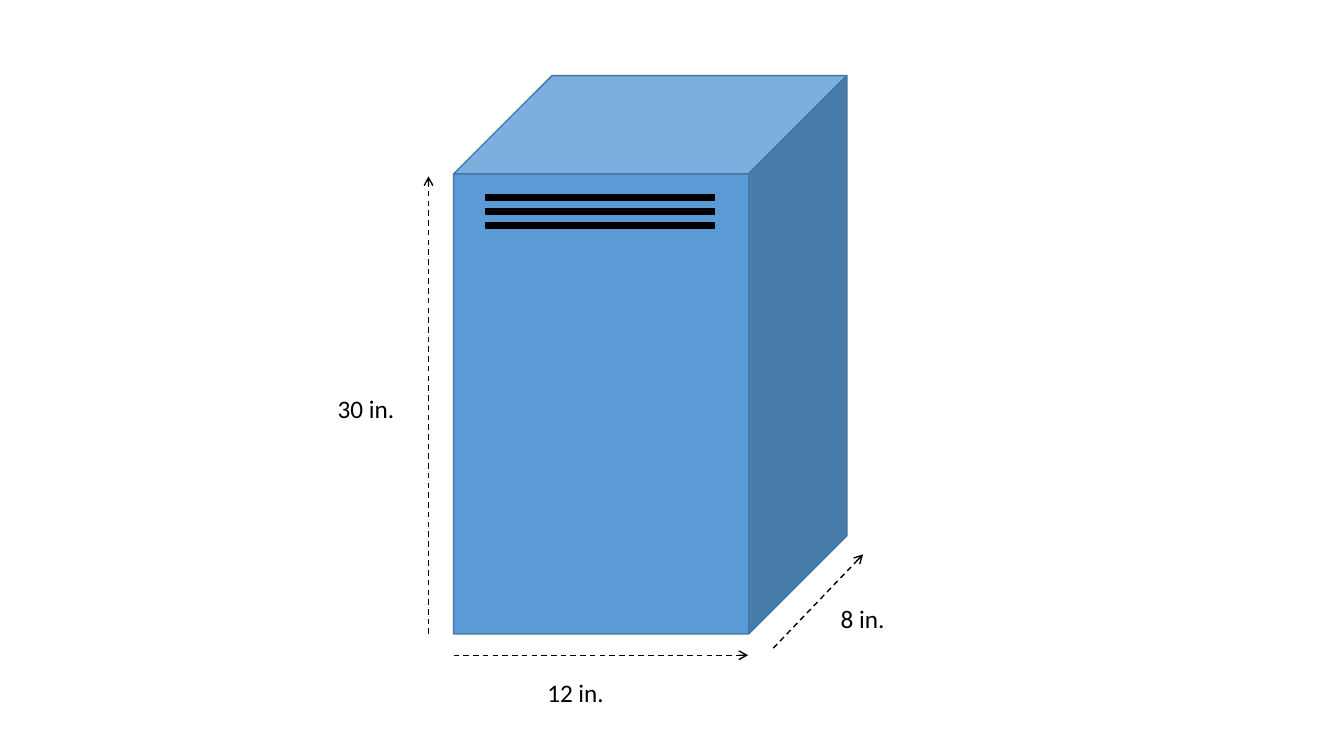
from dataclasses import dataclass

import pptx
import pptx.dml.color
import pptx.enum.dml
import pptx.enum.shapes
import pptx.enum.text
import pptx.oxml.ns
import pptx.util
from lxml import etree

SCALE = 9144  # EMU per px, 100 px to the inch
BLACK = "000000"
SHAPE = pptx.enum.shapes.MSO_SHAPE


@dataclass
class Block:
    kind: int
    left: int
    top: int
    width: int
    height: int
    fill: str
    line: str


@dataclass
class Arrow:
    x1: int
    y1: int
    x2: int
    y2: int


@dataclass
class Label:
    text: str
    left: int
    top: int
    width: int
    height: int = 40


def px(*values: int) -> list[int]:
    return [pptx.util.Emu(value * SCALE) for value in values]


def color(code: str) -> pptx.dml.color.RGBColor:
    return pptx.dml.color.RGBColor.from_string(code)


def draw_block(shapes, block: Block) -> None:
    shape = shapes.add_shape(
        block.kind, *px(block.left, block.top, block.width, block.height))
    shape.shadow.inherit = False
    shape.fill.solid()
    shape.fill.fore_color.rgb = color(block.fill)
    shape.line.color.rgb = color(block.line)
    shape.line.width = pptx.util.Pt(1)


def draw_arrow(shapes, arrow: Arrow) -> None:
    line = shapes.add_connector(
        pptx.enum.shapes.MSO_CONNECTOR.STRAIGHT,
        *px(arrow.x1, arrow.y1, arrow.x2, arrow.y2))
    line.line.color.rgb = color(BLACK)
    line.line.width = pptx.util.Pt(1)
    line.line.dash_style = pptx.enum.dml.MSO_LINE.DASH
    props = line._element.spPr
    qn = pptx.oxml.ns.qn
    etree.SubElement(props.find(qn("a:ln")), qn("a:tailEnd"), type="arrow")
    etree.SubElement(props, qn("a:effectLst"))


def draw_label(shapes, label: Label) -> None:
    box = shapes.add_textbox(
        *px(label.left, label.top, label.width, label.height))
    frame = box.text_frame
    frame.word_wrap = False
    frame.auto_size = pptx.enum.text.MSO_AUTO_SIZE.SHAPE_TO_FIT_TEXT
    frame.text = label.text
    font = frame.paragraphs[0].runs[0].font
    font.name = "Calibri"
    font.size = pptx.util.Pt(18)
    font.color.rgb = color(BLACK)


# Locker body with three vent slots
LOCKER = [Block(SHAPE.CUBE, 450, 75, 390, 554, "5B9BD5", "43739E")] + [
    Block(SHAPE.RECTANGLE, 482, 193 + 14 * row, 227, 6, BLACK, BLACK)
    for row in range(3)
]

# Height, width and depth
ARROWS = [
    Arrow(425, 629, 425, 175),
    Arrow(450, 650, 742, 650),
    Arrow(767, 643, 856, 550),
]
LABELS = [
    Label("12 in.", 533, 667, 77),
    Label("8 in.", 824, 594, 64),
    Label("30 in.", 325, 385, 76),
]


def main() -> None:
    deck = pptx.Presentation()
    deck.slide_width, deck.slide_height = px(1333, 750)
    shapes = deck.slides.add_slide(deck.slide_layouts[6]).shapes
    group = shapes.add_group_shape()
    for block in LOCKER:
        draw_block(group.shapes, block)
    for arrow in ARROWS:
        draw_arrow(shapes, arrow)
    for label in LABELS:
        draw_label(shapes, label)
    deck.save("out.pptx")


if __name__ == "__main__":
    main()
